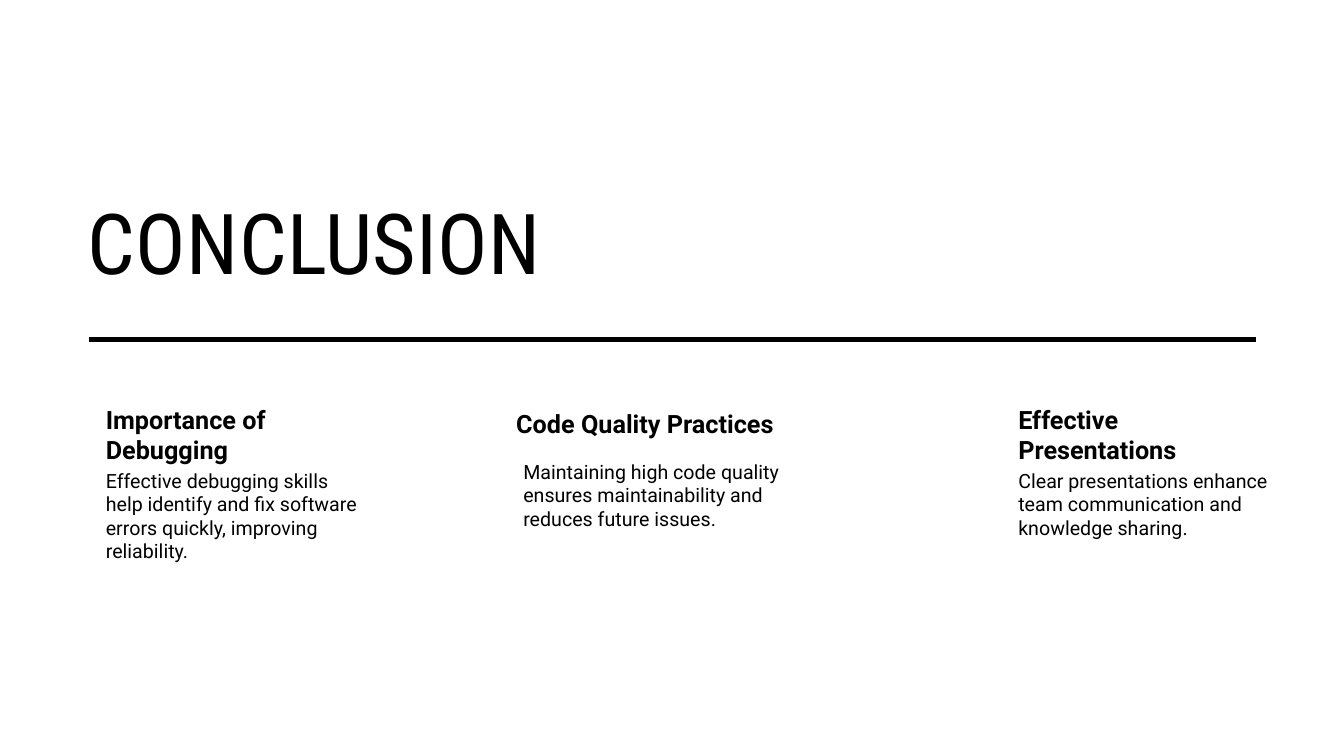
from pptx import Presentation
from pptx.dml.color import RGBColor
from pptx.enum import shapes, text
from pptx.oxml.ns import qn
from pptx.util import Inches, Pt
from lxml import etree


def paint(color, code):
    color.rgb = RGBColor.from_string(code)


def write(frame, words, face, size, bold=False):
    frame.word_wrap = True
    frame.auto_size = text.MSO_AUTO_SIZE.NONE
    para = frame.paragraphs[0]
    para.text = words
    para.alignment = text.PP_ALIGN.LEFT
    para.font.name = face
    para.font.size = Pt(size)
    para.font.bold = bold
    paint(para.font.color, "000000")


deck = Presentation()
deck.slide_width = Inches(13.33)
deck.slide_height = Inches(7.5)
slide = deck.slides.add_slide(deck.slide_layouts[5])
slide.background.fill.solid()
paint(slide.background.fill.fore_color, "FFFFFF")

# Title
title = slide.shapes.title
title.left, title.top = Inches(0.77), Inches(1.4)
title.width, title.height = Inches(8.74), Inches(1.54)
write(title.text_frame, "CONCLUSION", "Roboto Condensed", 60)
title.text_frame.vertical_anchor = text.MSO_ANCHOR.BOTTOM
title.text_frame.paragraphs[0].runs[0]._r.get_or_add_rPr().set("spc", "30")

# Takeaways: heading and body, each with its left and top
takeaways = [
    ("Importance of Debugging", 0.9, 3.98,
     "Effective debugging skills help identify and fix software errors "
     "quickly, improving reliability.", 0.9, 4.63),
    ("Code Quality Practices", 4.97, 4.02,
     "Maintaining high code quality ensures maintainability and reduces "
     "future issues.", 5.04, 4.54),
    ("Effective Presentations", 9.95, 3.98,
     "Clear presentations enhance team communication and knowledge "
     "sharing.", 9.95, 4.63),
]
for head, head_x, head_y, body, body_x, body_y in takeaways:
    for words, x, y, high, pad, size, bold in (
        (head, head_x, head_y, 0.65, 0.03, 18, True),
        (body, body_x, body_y, 2.1, 0.02, 14, False),
    ):
        box = slide.shapes.add_textbox(
            Inches(x), Inches(y), Inches(2.74), Inches(high))
        frame = box.text_frame
        frame.margin_left = Inches(0.15)
        frame.margin_top = frame.margin_right = frame.margin_bottom = Inches(pad)
        write(frame, words, "Roboto", size, bold)

# Rule under the title
rule = slide.shapes.add_connector(
    shapes.MSO_CONNECTOR.STRAIGHT,
    Inches(0.88), Inches(3.37), Inches(12.46), Inches(3.37))
rule.line.width = Pt(3.5)
paint(rule.line.color, "000000")
etree.SubElement(rule._element.spPr, qn("a:effectLst"))

deck.save("out.pptx")
